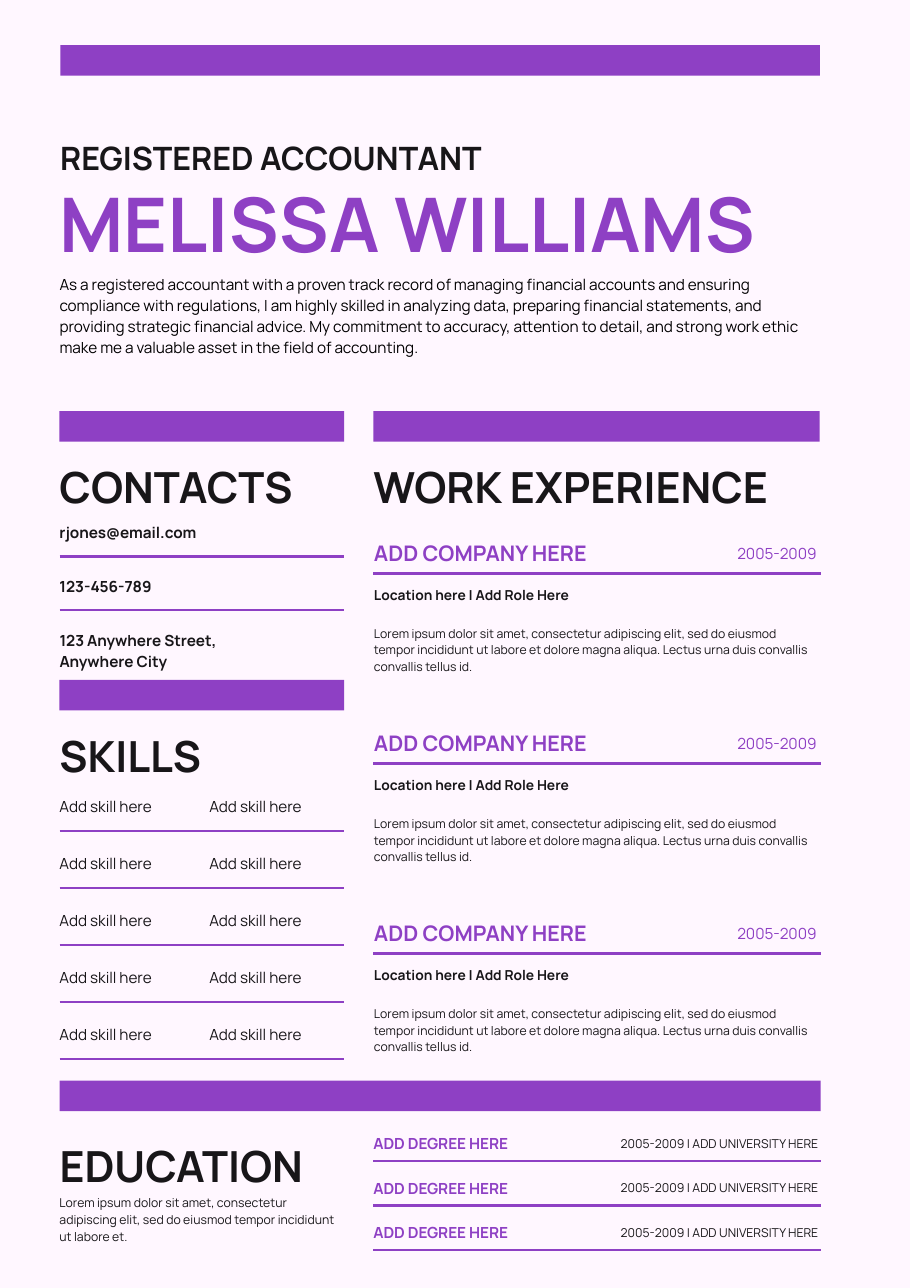
from lxml.etree import SubElement
from pptx import Presentation
from pptx.dml.color import RGBColor
from pptx.enum.shapes import MSO_CONNECTOR, MSO_SHAPE
from pptx.enum.text import MSO_ANCHOR, MSO_AUTO_SIZE, PP_ALIGN
from pptx.oxml.ns import qn
from pptx.util import Pt

PURPLE, INK, BLACK, PAPER = "8E40C4", "181619", "000000", "FFF7FF"
BAR_HEIGHT = 20
SUMMARY = (
    "As a registered accountant with a proven track record of managing financial accounts "
    "and ensuring compliance with regulations, I am highly skilled in analyzing data, "
    "preparing financial statements, and providing strategic financial advice. My commitment "
    "to accuracy, attention to detail, and strong work ethic make me a valuable asset in the "
    "field of accounting."
)
LOREM = "Lorem ipsum dolor sit amet, consectetur adipiscing elit, sed do eiusmod tempor incididunt ut labore et"
JOB_TEXT = f"{LOREM} dolore magna aliqua. Lectus urna duis convallis convallis tellus id."


def paint(color_format, color):
    """Set a colour from a hex string."""
    color_format.rgb = RGBColor.from_string(color)


def write(box, text, size, color=INK, bold=False, spacing=1.05, align=PP_ALIGN.LEFT):
    """Fill a text shape with one formatted paragraph."""
    frame = box.text_frame
    frame.margin_left = frame.margin_top = frame.margin_right = frame.margin_bottom = 0
    frame.word_wrap = True
    frame.auto_size = MSO_AUTO_SIZE.NONE
    frame.vertical_anchor = MSO_ANCHOR.TOP
    frame.text = text
    para = frame.paragraphs[0]
    para.alignment = align
    para.line_spacing = spacing
    para.space_before = Pt(0)
    para.font.name = "Manrope"
    para.font.size = Pt(size)
    para.font.bold = bold
    paint(para.font.color, color)


def add_text(page, left, top, width, height, text, size, **style):
    """Add a text box."""
    box = page.shapes.add_textbox(Pt(left), Pt(top), Pt(width), Pt(height))
    write(box, text, size, **style)


def add_bar(page, left, top, width):
    """Add a solid section bar."""
    bar = page.shapes.add_shape(MSO_SHAPE.RECTANGLE, Pt(left), Pt(top), Pt(width), Pt(BAR_HEIGHT))
    bar.shadow.inherit = False
    bar.fill.solid()
    paint(bar.fill.fore_color, PURPLE)
    bar.line.fill.background()


def add_rule(page, left, top, width, weight=1.5):
    """Add a thin horizontal rule."""
    rule = page.shapes.add_connector(
        MSO_CONNECTOR.STRAIGHT, Pt(left), Pt(top), Pt(left + width), Pt(top))
    paint(rule.line.color, PURPLE)
    rule.line.width = Pt(weight)
    SubElement(rule._element.spPr, qn("a:effectLst"))


def add_heading(page, left, top, width, text, gap=26):
    """Add a section bar with its heading below."""
    add_bar(page, left, top, width)
    add_text(page, left, top + gap, width, 35, text, 28, bold=True, spacing=1.2)


def add_header(page, left, top, width):
    """Add the top bar, profession, name and summary."""
    add_bar(page, left + 0.5, top, width)
    add_text(page, left + 0.5, top + 46.8, 293, 31, "REGISTERED ACCOUNTANT", 21,
             bold=True, spacing=1.57)
    title = page.shapes.title
    title.left, title.top, title.width, title.height = Pt(left), Pt(top + 74.2), Pt(width), Pt(62)
    write(title, "MELISSA WILLIAMS", 49.2, color=PURPLE, bold=True, spacing=1.2)
    add_text(page, left, top + 148.3, width, 54, SUMMARY, 10, color=BLACK, spacing=1.15)


def add_contacts(page, left, top, width):
    """Add the contact details, ruled between."""
    add_heading(page, left, top, width, "CONTACTS")
    for index, detail in enumerate(["rjones@email.com", "123-456-789"]):
        offset = top + 35.2 * index
        add_text(page, left, offset + 72.7, 155, 11, detail, 10, bold=True)
        add_rule(page, left, offset + 95, width)
    add_text(page, left, top + 141.8, 135, 26, "123 Anywhere Street, Anywhere City", 10,
             bold=True, spacing=1.15)


def add_skills(page, left, top, width):
    """Add the two-column grid of skills."""
    add_heading(page, left, top, width, "SKILLS")
    for row in range(5):
        offset = top + 37.26 * row
        for column in range(2):
            add_text(page, left + 97.9 * column, offset + 76.2, 80, 11, "Add skill here", 10)
        add_rule(page, left, offset + 98.6, width)


def add_job(page, left, top, width):
    """Add one employer with dates, role and description."""
    add_text(page, left, top, 197, 17, "ADD COMPANY HERE", 14, color=PURPLE, bold=True, spacing=1.04)
    add_text(page, left + width - 70.4, top + 2.9, 68, 12, "2005-2009", 10,
             color=PURPLE, align=PP_ALIGN.RIGHT)
    add_rule(page, left - 0.6, top + 23, width + 0.9, 2)
    add_text(page, left, top + 31, 149, 11, "Location here | Add Role Here", 9, bold=True, spacing=1.03)
    add_text(page, left, top + 55.6, width - 2.2, 32, JOB_TEXT, 8, spacing=1.15)


def add_experience(page, left, top, width):
    """Add the work experience section."""
    add_heading(page, left, top, width, "WORK EXPERIENCE")
    for index in range(3):
        add_job(page, left + 0.4, top + 83.4 + 124.2 * index, width)


def add_education(page, left, top, width, split):
    """Add the education section with its list of degrees."""
    add_heading(page, left, top, width, "EDUCATION", gap=31.7)
    add_text(page, left, top + 73.4, 184.3, 32, f"{LOREM}.", 8, spacing=1.15)
    right = left + width
    for index in range(3):
        offset = top + 29 * index
        add_text(page, split, offset + 34.6, 150, 11, "ADD DEGREE HERE", 10, color=PURPLE, bold=True)
        add_text(page, right - 155, offset + 35.9, 153.7, 10, "2005-2009 | ADD UNIVERSITY HERE", 8,
                 spacing=1.04, align=PP_ALIGN.RIGHT)
        add_rule(page, split, offset + 52.5, right - split)


def main():
    """Build and save the one-page résumé."""
    deck = Presentation()
    deck.slide_width, deck.slide_height = Pt(594.72), Pt(841.68)
    page = deck.slides.add_slide(deck.slide_layouts[5])
    page.background.fill.solid()
    paint(page.background.fill.fore_color, PAPER)
    left, split = 38.9, 244
    add_header(page, left, 29.5, 496.5)
    add_contacts(page, left, 268.6, 186)
    add_skills(page, left, 444.3, 186)
    add_experience(page, split, 268.6, 291.6)
    add_education(page, left, 706.2, 497.5, split)
    deck.save("out.pptx")


if __name__ == "__main__":
    main()
